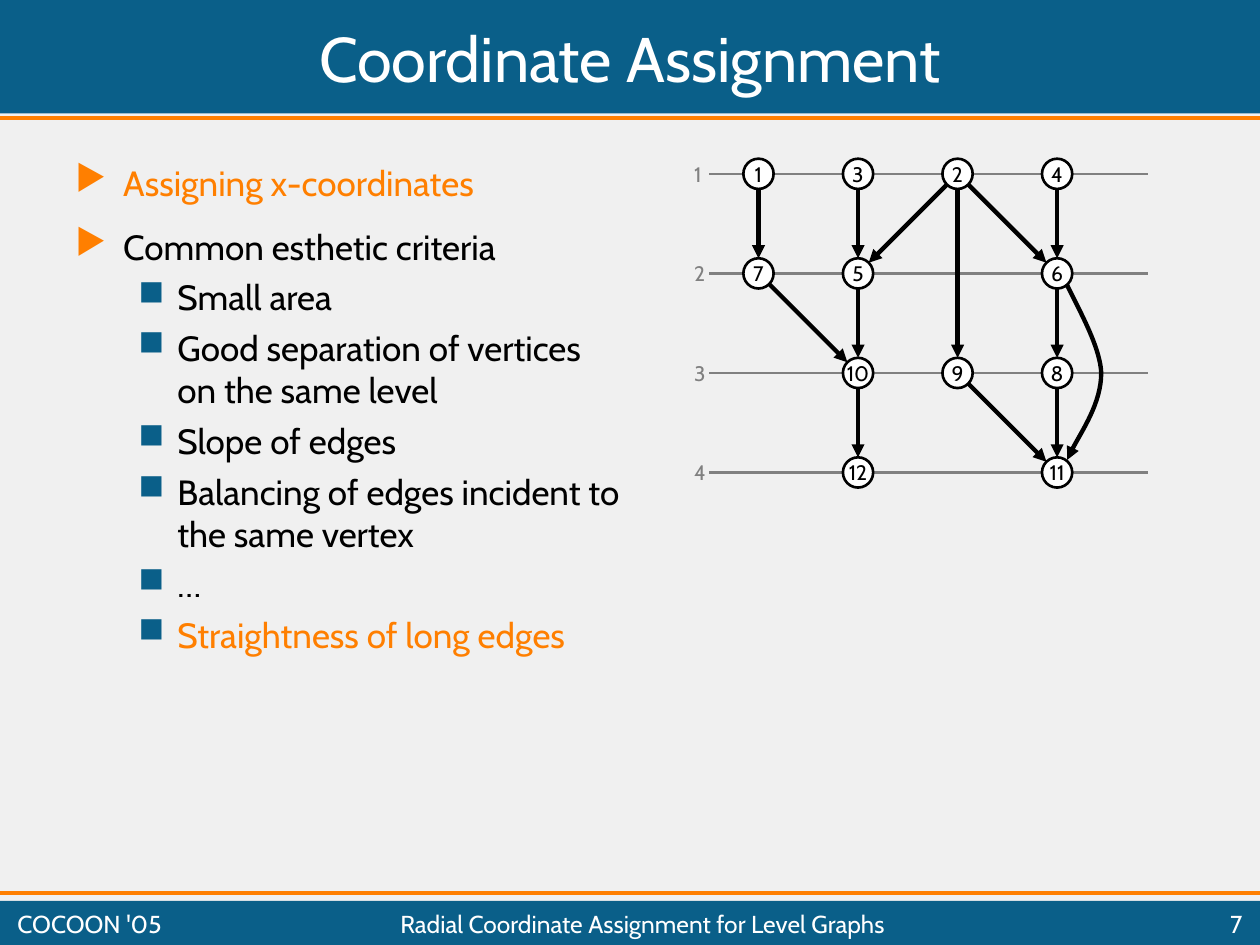
from math import hypot

from lxml.etree import SubElement
from pptx import Presentation
from pptx.dml.color import RGBColor
from pptx.enum.shapes import MSO_CONNECTOR, MSO_SHAPE
from pptx.enum.text import MSO_ANCHOR, MSO_AUTO_SIZE, PP_ALIGN
from pptx.oxml.ns import qn
from pptx.util import Inches, Pt

COLORS = {"blue": "0A5F89", "orange": "FF7F00", "paper": "F0F0F0",
          "white": "FFFFFF", "black": "000000", "gray": "808080"}
FONT = "Cabin"
COLUMNS, ROWS = 100, 75  # the page as a grid of tenths of an inch

# Graph: vertices by (column, level), edges from upper to lower vertex
STEP, GRAPH_LEFT, GRAPH_TOP, RADIUS = 7.9, 60.2, 13.8, 1.2
VERTICES = {1: (0, 0), 3: (1, 0), 2: (2, 0), 4: (3, 0),
            7: (0, 1), 5: (1, 1), 6: (3, 1),
            10: (1, 2), 9: (2, 2), 8: (3, 2),
            12: (1, 3), 11: (3, 3)}
EDGES = [(1, 7), (3, 5), (2, 5), (2, 9), (2, 6), (4, 6), (7, 10),
         (5, 10), (6, 8), (10, 12), (9, 11), (8, 11)]
LONG_EDGE = [(84.3, 21.7), (84.9, 23.4), (87.3, 27.1), (87.4, 29.6),
             (87.4, 32), (85.1, 35.4), (84.7, 36.5)]  # start, then Bézier triples

# Bullets: level, wording, colour
BULLETS = [(0, "Assigning x-coordinates", "orange"),
           (0, "Common esthetic criteria", "black"),
           (1, "Small area", "black"),
           (1, "Good separation of vertices on the same level", "black"),
           (1, "Slope of edges", "black"),
           (1, "Balancing of edges incident to the same vertex", "black"),
           (1, "…", "black"),
           (1, "Straightness of long edges", "orange")]
# Per level: sign, sign colour, margin and hanging indent in cells, space before
BULLET_STYLES = [("▶", "orange", 3.8, 3.8, 12.5), ("■", "blue", 8.1, 3.1, 5)]


def cells(count):
    return Inches(count / 10)


def color(name):
    return RGBColor.from_string(COLORS[name])


def center(vertex):
    column, level = VERTICES[vertex]
    return GRAPH_LEFT + column * STEP, GRAPH_TOP + level * STEP


class SlideBuilder:
    def __init__(self, deck):
        self.slide = deck.slides.add_slide(deck.slide_layouts[5])
        self.shapes = self.slide.shapes
        fill = self.slide.background.fill
        fill.solid()
        fill.fore_color.rgb = color("paper")

    def style(self, para, size, ink, align=PP_ALIGN.LEFT):
        para.alignment = align
        para.font.name = FONT
        para.font.size = Pt(size)
        para.font.color.rgb = color(ink)

    def title(self, wording, *area):
        box = self.shapes.title
        box.left, box.top, box.width, box.height = map(cells, area)
        frame = box.text_frame
        frame.text = wording
        frame.auto_size = MSO_AUTO_SIZE.NONE
        frame.vertical_anchor = MSO_ANCHOR.MIDDLE
        self.style(frame.paragraphs[0], 36, "white", PP_ALIGN.CENTER)
        box.element.getparent().append(box.element)  # in front of the bars

    def text(self, wording, area, size, ink, align=PP_ALIGN.LEFT,
             anchor=MSO_ANCHOR.MIDDLE, wrap=True):
        frame = self.shapes.add_textbox(*map(cells, area)).text_frame
        frame.word_wrap = wrap
        frame.vertical_anchor = anchor
        frame.text = wording
        self.style(frame.paragraphs[0], size, ink, align)

    def bullets(self, items, *area):
        frame = self.shapes.add_textbox(*map(cells, area)).text_frame
        frame.word_wrap = True
        for index, (level, wording, ink) in enumerate(items):
            para = frame.add_paragraph() if index else frame.paragraphs[0]
            para.text = wording
            para.level = level
            self.style(para, 20, ink)
            sign, sign_color, margin, hanging, space = BULLET_STYLES[level]
            para.space_before = Pt(space)
            properties = para._p.get_or_add_pPr()
            properties.set("marL", str(cells(margin)))
            properties.set("indent", str(-cells(hanging)))
            # Bullet colour and sign stand before the paragraph's font
            font = properties.find(qn("a:defRPr"))
            bullet_color = SubElement(properties, qn("a:buClr"))
            SubElement(bullet_color, qn("a:srgbClr"), val=COLORS[sign_color])
            bullet = SubElement(properties, qn("a:buChar"), char=sign)
            font.addprevious(bullet_color)
            font.addprevious(bullet)

    def shape(self, kind, area, fill, outline=None):
        shape = self.shapes.add_shape(kind, *map(cells, area))
        shape.shadow.inherit = False
        shape.fill.solid()
        shape.fill.fore_color.rgb = color(fill)
        if outline:
            self.stroke(shape, outline, 1.5)
        else:
            shape.line.fill.background()
        return shape

    def stroke(self, shape, ink, width, arrow=False):
        shape.line.color.rgb = color(ink)
        shape.line.width = Pt(width)
        if arrow:
            SubElement(shape.line._get_or_add_ln(), qn("a:tailEnd"), type="triangle")

    def line(self, start, end, ink, width, arrow=False):
        line = self.shapes.add_connector(
            MSO_CONNECTOR.STRAIGHT, *map(cells, (*start, *end)))
        self.stroke(line, ink, width, arrow)
        SubElement(line.element.spPr, qn("a:effectLst"))

    def edge(self, upper, lower):
        (x1, y1), (x2, y2) = center(upper), center(lower)
        share = 1 - RADIUS / hypot(x2 - x1, y2 - y1)
        tip = x1 + (x2 - x1) * share, y1 + (y2 - y1) * share
        self.line((x1, y1), tip, "black", 2.5, arrow=True)

    def curve(self, points):
        start, *others = [(cells(x), cells(y)) for x, y in points]
        builder = self.shapes.build_freeform(*start)
        builder.add_line_segments(others, close=False)
        curve = builder.convert_to_shape()
        curve.shadow.inherit = False
        curve.fill.background()
        self.stroke(curve, "black", 2.5, arrow=True)
        # Join each three points into one Bézier piece
        path = next(curve.element.iter(qn("a:path")))
        segments = path.findall(qn("a:lnTo"))
        for first in range(0, len(segments), 3):
            bezier = SubElement(path, qn("a:cubicBezTo"))
            for segment in segments[first:first + 3]:
                bezier.append(segment[0])
                path.remove(segment)

    def vertex(self, number):
        x, y = center(number)
        area = (x - RADIUS, y - RADIUS, 2 * RADIUS, 2 * RADIUS)
        frame = self.shape(MSO_SHAPE.OVAL, area, "white", "black").text_frame
        frame.word_wrap = False
        frame.vertical_anchor = MSO_ANCHOR.MIDDLE
        frame.text = str(number)
        self.style(frame.paragraphs[0], 12, "black", PP_ALIGN.CENTER)


def main():
    deck = Presentation()
    deck.slide_width, deck.slide_height = cells(COLUMNS), cells(ROWS)
    page = SlideBuilder(deck)

    # Header and footer bars with their rules
    for top, height, rule in [(0, 9, 9.4), (71.5, 3.5, 70.9)]:
        page.shape(MSO_SHAPE.RECTANGLE, (0, top, COLUMNS, height), "blue")
        page.line((0, rule), (COLUMNS, rule), "orange", 2.25)

    # Title and bullets
    page.title("Coordinate Assignment", 0.4, 0.4, 99.2, 8.3)
    page.bullets(BULLETS, 5, 12.3, 45.4, 56.7)

    # Level lines and their labels
    for level in range(4):
        y = GRAPH_TOP + level * STEP
        page.line((56.3, y), (91.1, y), "gray", 1.5)
        page.text(str(level + 1), (54.1, y - 1.5, 2.9, 3), 12, "gray",
                  anchor=MSO_ANCHOR.TOP, wrap=False)

    # Edges, then vertices over their ends
    page.curve(LONG_EDGE)
    for upper, lower in EDGES:
        page.edge(upper, lower)
    for number in VERTICES:
        page.vertex(number)

    # Footer
    for wording, left, width, align in [
            ("COCOON '05", 0.4, 14.4, PP_ALIGN.LEFT),
            ("Radial Coordinate Assignment for Level Graphs", 15, 72, PP_ALIGN.CENTER),
            ("7", 87.8, 11.8, PP_ALIGN.RIGHT)]:
        page.text(wording, (left, 71.9, width, 2.8), 14, "white", align)

    deck.save("out.pptx")


if __name__ == "__main__":
    main()
